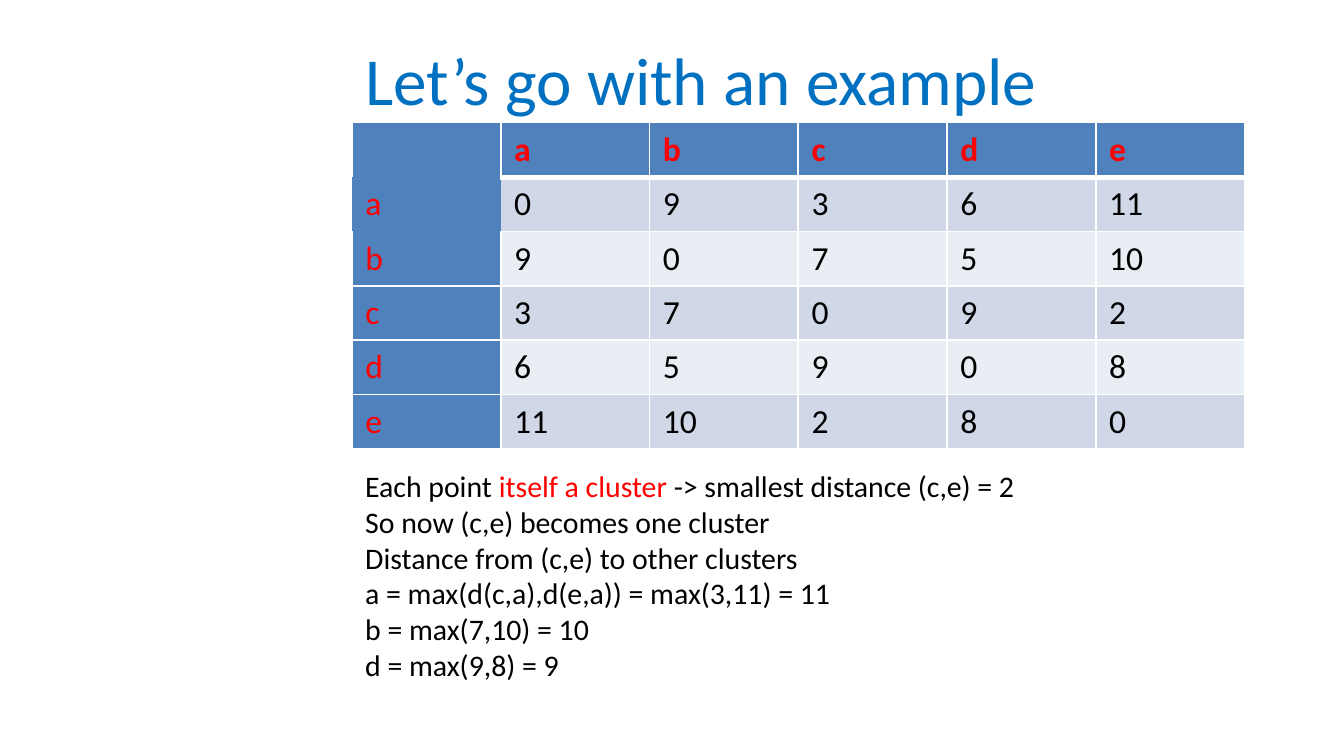
import lxml.etree
import pptx
import pptx.dml.color
import pptx.enum.text
import pptx.oxml.ns
import pptx.util

Pt = pptx.util.Pt
Anchor = pptx.enum.text.MSO_ANCHOR
COLORS = {
    "title": "0070C0", "head": "4F81BD", "odd": "D0D8E8", "even": "E9EDF4",
    "red": "FF0000", "ink": "000000", "line": "FFFFFF",
}
NAMES = "abcde"
GRID = [
    [0, 9, 3, 6, 11],
    [9, 0, 7, 5, 10],
    [3, 7, 0, 9, 2],
    [6, 5, 9, 0, 8],
    [11, 10, 2, 8, 0],
]
NOTES = [
    [("Each point ", "ink"), ("itself a cluster ", "red"),
     ("-> smallest distance (c,e) = 2", "ink")],
    [("So now (c,e) becomes one cluster", "ink")],
    [("Distance from (c,e) to other clusters", "ink")],
    [("a = max(d(c,a),d(e,a)) = max(3,11) = 11", "ink")],
    [("b = max(7,10) = 10", "ink")],
    [("d = max(9,8) = 9", "ink")],
]


class Deck:
    """Hold the style and the current slide."""

    def __init__(self, slide, font="Calibri"):
        self.slide = slide
        self.font = font

    def color(self, name):
        return pptx.dml.color.RGBColor.from_string(COLORS[name])

    def run(self, para, text, size, color, bold=False):
        run = para.add_run()
        run.text = text
        run.font.name = self.font
        run.font.size = Pt(size)
        run.font.bold = bold
        run.font.color.rgb = self.color(color)

    def text(self, left, top, width, height, lines, size, anchor=Anchor.TOP):
        box = self.slide.shapes.add_textbox(Pt(left), Pt(top), Pt(width), Pt(height))
        frame = box.text_frame
        frame.word_wrap = True
        frame.vertical_anchor = anchor
        for row, line in enumerate(lines):
            para = frame.add_paragraph() if row else frame.paragraphs[0]
            for text, color in line:
                self.run(para, text, size, color)

    def edges(self, cell, sizes):
        props = cell._tc.get_or_add_tcPr()
        for spot, (side, size) in enumerate(zip("LRTB", sizes)):
            line = lxml.etree.Element(pptx.oxml.ns.qn("a:ln" + side), w=str(Pt(size)))
            if size:
                fill = lxml.etree.SubElement(line, pptx.oxml.ns.qn("a:solidFill"))
                tint = lxml.etree.SubElement(fill, pptx.oxml.ns.qn("a:srgbClr"))
                tint.set("val", COLORS["line"])
            else:
                lxml.etree.SubElement(line, pptx.oxml.ns.qn("a:noFill"))
            props.insert(spot, line)

    def cell(self, cell, text, fill, color, bold, sizes):
        cell.fill.solid()
        cell.fill.fore_color.rgb = self.color(fill)
        self.edges(cell, sizes)
        if text:
            self.run(cell.text_frame.paragraphs[0], text, 18, color, bold)

    def table(self, left, top, width, height, names, grid):
        count = len(names) + 1
        frame = self.slide.shapes.add_table(
            count, count, Pt(left), Pt(top), Pt(width), Pt(height))
        table = frame.table
        table.first_row = table.horz_banding = False
        rows = [["", *names]] + [[name, *line] for name, line in zip(names, grid)]
        for row, line in enumerate(rows):
            table.rows[row].height = Pt(height / count)
            for col, value in enumerate(line):
                head = row == 0 or col == 0
                fill = "head" if head else "odd" if row % 2 else "even"
                if col == 0:
                    side = int(row != 1)
                    sizes = (side, side, int(row not in (1, 2)), int(row > 1))
                else:
                    left_size = int(col > 1 or row != 1)
                    sizes = (left_size, 1, 3 if row == 1 else 1, 1 if row else 3)
                self.cell(table.cell(row, col), str(value), fill,
                          "red" if head else "ink", row == 0, sizes)


def main():
    deck = pptx.Presentation()
    deck.slide_width, deck.slide_height = Pt(720), Pt(405)
    page = Deck(deck.slides.add_slide(deck.slide_layouts[6]))
    left, width = 188.6, 478.2
    page.text(left, 13.7, 494.6, 56.9,
              [[("Let’s go with an example", "title")]], 36, Anchor.MIDDLE)
    page.table(left, 65.7, width, 175, NAMES, GRID)
    page.text(left, 247, width, 123.8, NOTES, 16)
    deck.save("out.pptx")


if __name__ == "__main__":
    main()
